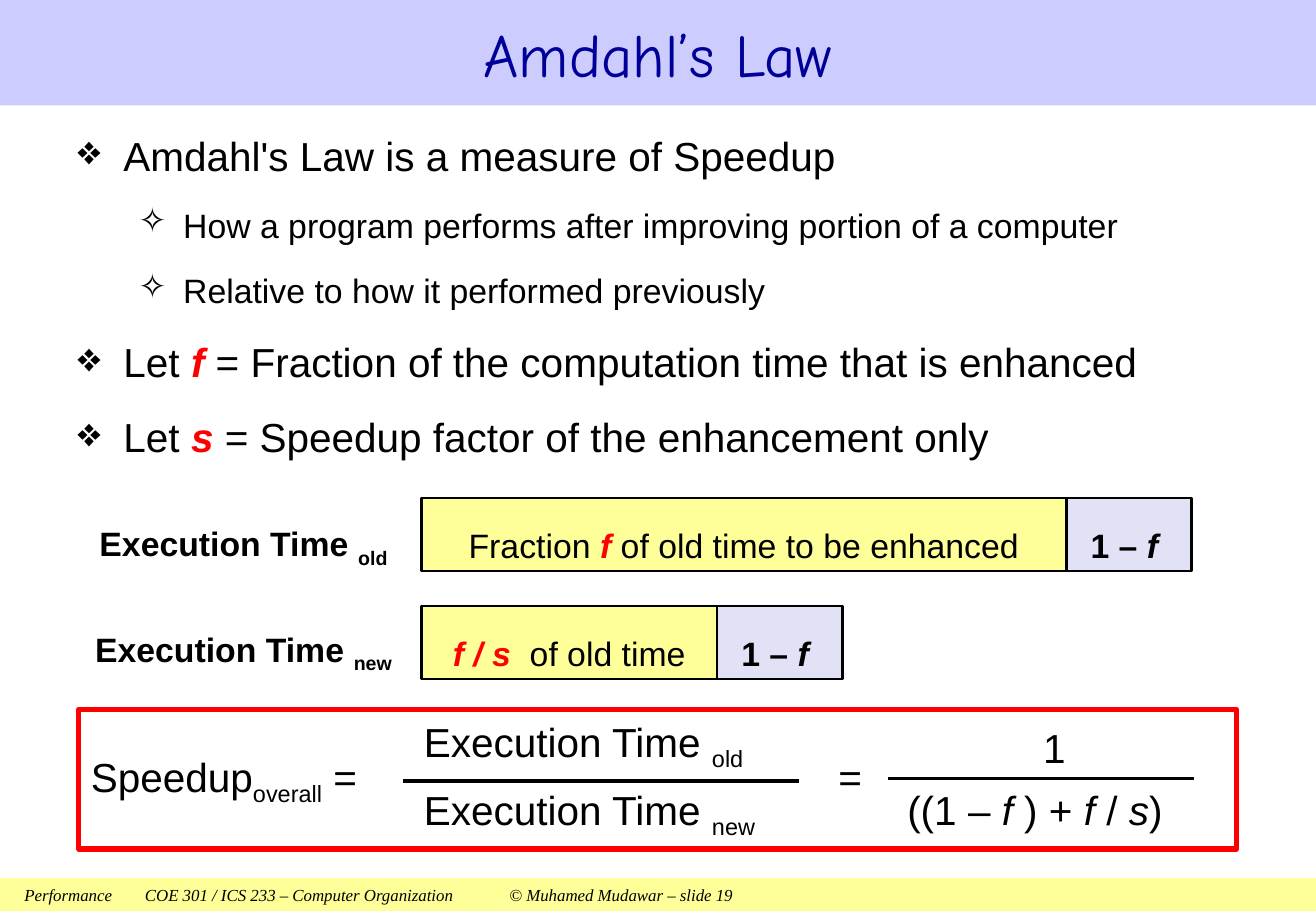
from lxml import etree
from pptx import Presentation
from pptx import util as u
from pptx.dml import color
from pptx.enum import shapes, text
from pptx.oxml import ns

HUES = {"black": "000000", "red": "FF0000", "navy": "000099", "sky": "CCCCFF",
        "lemon": "FFFF99", "mist": "E2E2F6", "white": "FFFFFF"}
LEFT, MID = text.PP_ALIGN.LEFT, text.PP_ALIGN.CENTER


def hue(name):
    return color.RGBColor.from_string(HUES[name])


def add(node, tag, **attrs):
    return etree.SubElement(node, ns.qn(tag), **attrs)


class Deck:
    def __init__(self, wide, high):
        self.prs = Presentation()
        self.prs.slide_width, self.prs.slide_height = u.Pt(wide), u.Pt(high)
        self.slide = self.prs.slides.add_slide(self.prs.slide_layouts[6])
        self.font = "Arial"

    def runs(self, para, parts, size, font=None, ink="black"):
        for words, marks in parts:
            run = para.add_run()
            run.text = words
            face = run.font
            face.name, face.size = font or self.font, u.Pt(size)
            face.bold, face.italic = "b" in marks, "i" in marks
            face.color.rgb = hue("red" if "r" in marks else ink)
            if "s" in marks:
                face._element.set("baseline", "-25000")

    def frame(self, shape, pad=(0, 0), mid=True):
        tf = shape.text_frame
        tf.word_wrap = True
        tf.margin_left = tf.margin_right = u.Pt(pad[0])
        tf.margin_top = tf.margin_bottom = u.Pt(pad[1])
        tf.vertical_anchor = text.MSO_ANCHOR.MIDDLE if mid else text.MSO_ANCHOR.TOP
        return tf

    def tabs(self, para, stops):
        props = para._p.get_or_add_pPr()
        tabs = add(props, "a:tabLst")
        for stop in stops:
            add(tabs, "a:tab", pos=str(u.Pt(stop)), algn="l")

    def box(self, at, parts, fill=None, line=None, width=1.5, size=20,
            align=MID, gap=None, pad=(0, 0), stops=(), **style):
        shape = self.slide.shapes.add_shape(
            shapes.MSO_SHAPE.RECTANGLE, *map(u.Pt, at))
        shape.shadow.inherit = False
        if fill:
            shape.fill.solid()
            shape.fill.fore_color.rgb = hue(fill)
        else:
            shape.fill.background()
        if line:
            shape.line.color.rgb = hue(line)
            shape.line.width = u.Pt(width)
        else:
            shape.line.fill.background()
        para = self.frame(shape, pad).paragraphs[0]
        para.alignment = align
        if gap:
            para.line_spacing = gap
        if stops:
            self.tabs(para, stops)
        self.runs(para, parts, size, **style)

    def label(self, at, parts, align=LEFT):
        shape = self.slide.shapes.add_textbox(*map(u.Pt, at))
        para = self.frame(shape).paragraphs[0]
        para.alignment = align
        self.runs(para, parts, 24)

    def list(self, at, items):
        shape = self.slide.shapes.add_textbox(*map(u.Pt, at))
        tf = self.frame(shape, (7.2, 3.6), mid=False)
        kinds = [("❖", 27.2, 27.2, 24), ("✧", 62.6, 26.6, 20)]
        for k, (level, parts) in enumerate(items):
            para = tf.add_paragraph() if k else tf.paragraphs[0]
            sign, left, hang, size = kinds[level]
            para.level = level
            para.line_spacing, para.space_before = 1.2, u.Pt(10)
            props = para._p.get_or_add_pPr()
            props.set("marL", str(u.Pt(left)))
            props.set("indent", str(-u.Pt(hang)))
            add(props, "a:buChar", char=sign)
            self.runs(para, parts, size)

    def rule(self, left, right, top):
        line = self.slide.shapes.add_connector(
            shapes.MSO_CONNECTOR.STRAIGHT, *map(u.Pt, (left, top, right, top)))
        line.line.color.rgb = hue("black")
        line.line.width = u.Pt(2)
        add(line._element.spPr, "a:effectLst")


def main():
    deck = Deck(780, 540)
    deck.box((0, 520.6, 780, 19.4),
             [("Performance\tCOE 301 / ICS 233 – Computer Organization"
               "\t© Muhamed Mudawar – slide 19", "i")],
             "lemon", size=10, align=LEFT, pad=(14.4, 0), stops=(71.5, 287.5),
             font="Times New Roman")
    deck.box((0, 0, 780, 62.6), [("Amdahl’s Law", "")], "sky", size=36,
             font="Comic Neue", ink="navy")
    deck.list((38.9, 68.4, 702, 211.7), [
        (0, [("Amdahl's Law is a measure of Speedup", "")]),
        (1, [("How a program performs after improving portion of a computer", "")]),
        (1, [("Relative to how it performed previously", "")]),
        (0, [("Let ", ""), ("f", "bir"),
             (" = Fraction of the computation time that is enhanced", "")]),
        (0, [("Let ", ""), ("s", "bir"),
             (" = Speedup factor of the enhancement only", "")])])

    bars = [("old", 295.2, 295.2, 382.3,
             [("Fraction ", ""), ("f", "bir"), (" of old time to be enhanced", "")]),
            ("new", 359.3, 357.8, 175.3,
             [("f / s", "bir"), ("  of old time", "")])]
    left, high = 249.8, 43.2
    for age, top, base, wide, parts in bars:
        deck.box((46.8, base, 195.1, high),
                 [("Execution Time ", "b"), (age, "bs")], "white", gap=1.5)
        deck.box((left, top, wide, high), parts, "lemon", "black", gap=1.5)
        deck.box((left + wide, top, 74.2, high),
                 [("1 – ", "b"), ("f ", "bi")], "mist", "black", gap=1.5)

    deck.box((46.8, 420.5, 686.2, 82.8),
             [("Speedup", ""), ("overall", "s"), (" =\t=", "")],
             line="red", width=3, size=24, align=LEFT, pad=(7.2, 0), stops=(443,))
    for age, top in (("old", 423.4), ("new", 463.7)):
        deck.label((251.3, top, 234.7, 36), [("Execution Time ", ""), (age, "s")])
    deck.rule(239, 473.8, 463)
    deck.label((530, 424.8, 190, 36), [("1", "")], MID)
    deck.label((537.8, 461.5, 175, 36.7),
               [("((1 – ", ""), ("f", "i"), (" ) + ", ""), ("f ", "i"),
                ("/ ", ""), ("s", "i"), (")", "")])
    deck.rule(526.3, 707.8, 461.5)
    deck.prs.save("out.pptx")


if __name__ == "__main__":
    main()
